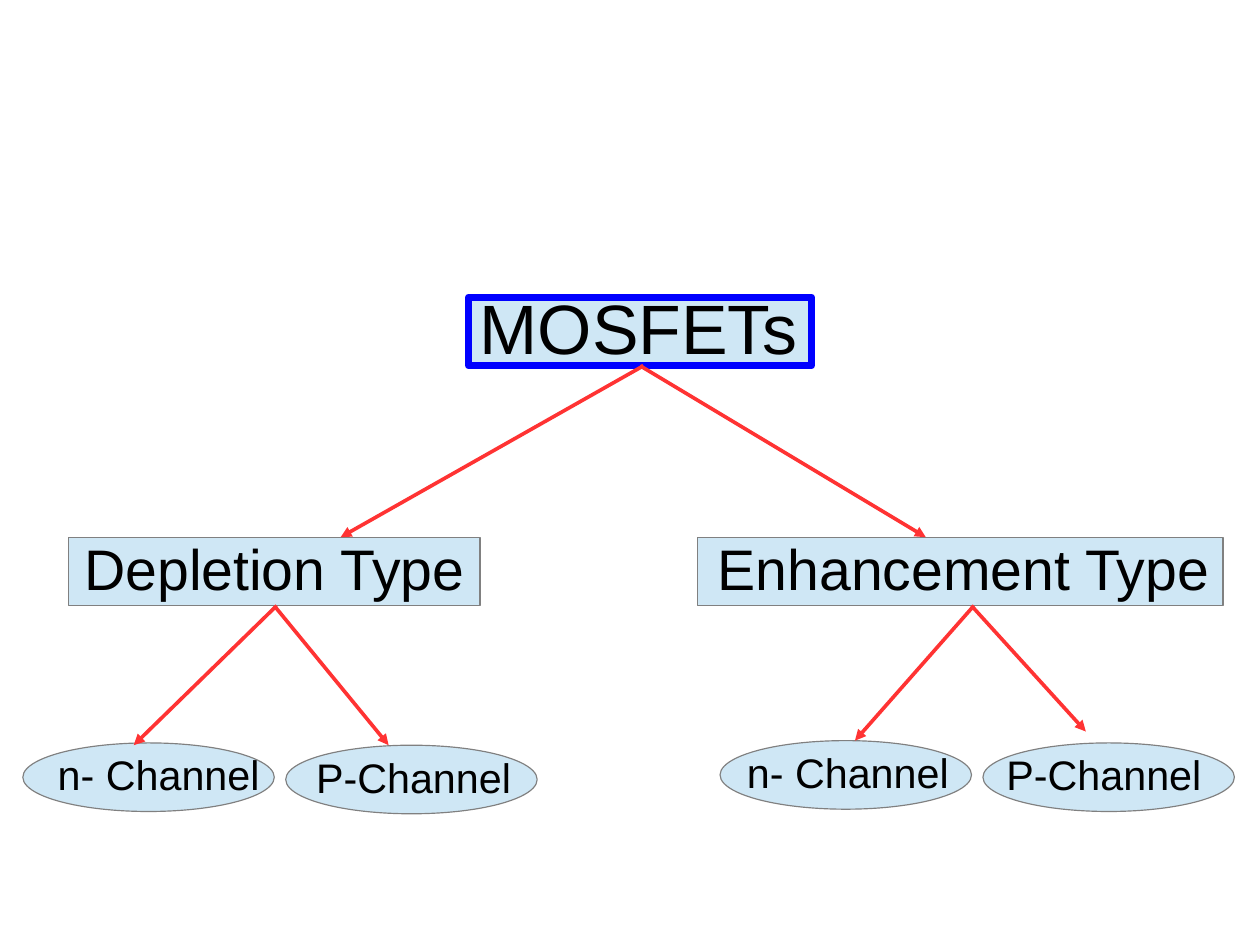
"""Build a slide with a tree of MOSFET types and their channels."""
import pptx
import pptx.dml.color
import pptx.enum.shapes
import pptx.enum.text
import pptx.oxml
import pptx.oxml.ns
import pptx.util

Inches = pptx.util.Inches
Pt = pptx.util.Pt
RGBColor = pptx.dml.color.RGBColor
Shape = pptx.enum.shapes.MSO_SHAPE

PALE_BLUE = RGBColor(0xCF, 0xE7, 0xF5)
BLUE = RGBColor(0x00, 0x00, 0xFF)
GRAY = RGBColor(0x80, 0x80, 0x80)
RED = RGBColor(0xFF, 0x33, 0x33)
BLACK = RGBColor(0x00, 0x00, 0x00)
NODE_HEIGHT = 0.6

ROOT = (Shape.ROUNDED_RECTANGLE, 44, BLUE, 4.5)
TYPE = (Shape.ROUNDED_RECTANGLE, 36, GRAY, 0.75)
CHANNEL = (Shape.OVAL, 26, GRAY, 0.75)

nodes = [
    ("MOSFETs", ROOT, 4.1, 2.6, 3, -0.01),
    ("Enhancement Type", TYPE, 6.1, 4.7, 4.6, 0.03),
    ("Depletion Type", TYPE, 0.6, 4.7, 3.6, 0),
    ("n- Channel", CHANNEL, 0.2, 6.5, 2.2, 0.09),
    ("P-Channel", CHANNEL, 2.5, 6.52, 2.2, 0.02),
    ("n- Channel", CHANNEL, 6.3, 6.48, 2.2, 0.02),
    ("P-Channel", CHANNEL, 8.6, 6.5, 2.2, -0.04),
]
arrows = [
    (5.63, 3.2, 2.98, 4.7),
    (5.6, 3.2, 8.1, 4.7),
    (8.52, 5.3, 7.48, 6.48),
    (2.42, 5.3, 1.17, 6.52),
    (8.5, 5.3, 9.5, 6.4),
    (2.4, 5.3, 3.4, 6.52),
]

deck = pptx.Presentation()
deck.slide_width = pptx.util.Cm(28)
deck.slide_height = pptx.util.Cm(21)
page = deck.slides.add_slide(deck.slide_layouts[6])

for label, (outline, size, line_color, line_width), left, top, width, shift in nodes:
    node = page.shapes.add_shape(
        outline, Inches(left), Inches(top), Inches(width), Inches(NODE_HEIGHT))
    if outline == Shape.ROUNDED_RECTANGLE:
        node.adjustments[0] = 0
    node.shadow.inherit = False
    node.fill.solid()
    node.fill.fore_color.rgb = PALE_BLUE
    node.line.color.rgb = line_color
    node.line.width = Pt(line_width)

    frame = node.text_frame
    frame.word_wrap = False
    frame.vertical_anchor = pptx.enum.text.MSO_ANCHOR.MIDDLE
    frame.margin_top = frame.margin_bottom = 0
    frame.margin_left = Inches(max(0, 2 * shift))
    frame.margin_right = Inches(max(0, -2 * shift))
    para = frame.paragraphs[0]
    para.text = label
    para.alignment = pptx.enum.text.PP_ALIGN.CENTER
    para.line_spacing = 0.93
    para.font.name = "Arial"
    para.font.size = Pt(size)
    para.font.color.rgb = BLACK

for start_x, start_y, end_x, end_y in arrows:
    arrow = page.shapes.add_connector(
        pptx.enum.shapes.MSO_CONNECTOR.STRAIGHT,
        Inches(start_x), Inches(start_y), Inches(end_x), Inches(end_y))
    arrow.line.color.rgb = RED
    arrow.line.width = Pt(2.3)
    properties = arrow.element.spPr
    tip = pptx.oxml.parse_xml(
        f'<a:tailEnd {pptx.oxml.ns.nsdecls("a")} type="triangle"/>')
    properties.find(pptx.oxml.ns.qn("a:ln")).append(tip)
    no_effects = pptx.oxml.parse_xml(
        f'<a:effectLst {pptx.oxml.ns.nsdecls("a")}/>')
    properties.append(no_effects)

deck.save("out.pptx")
